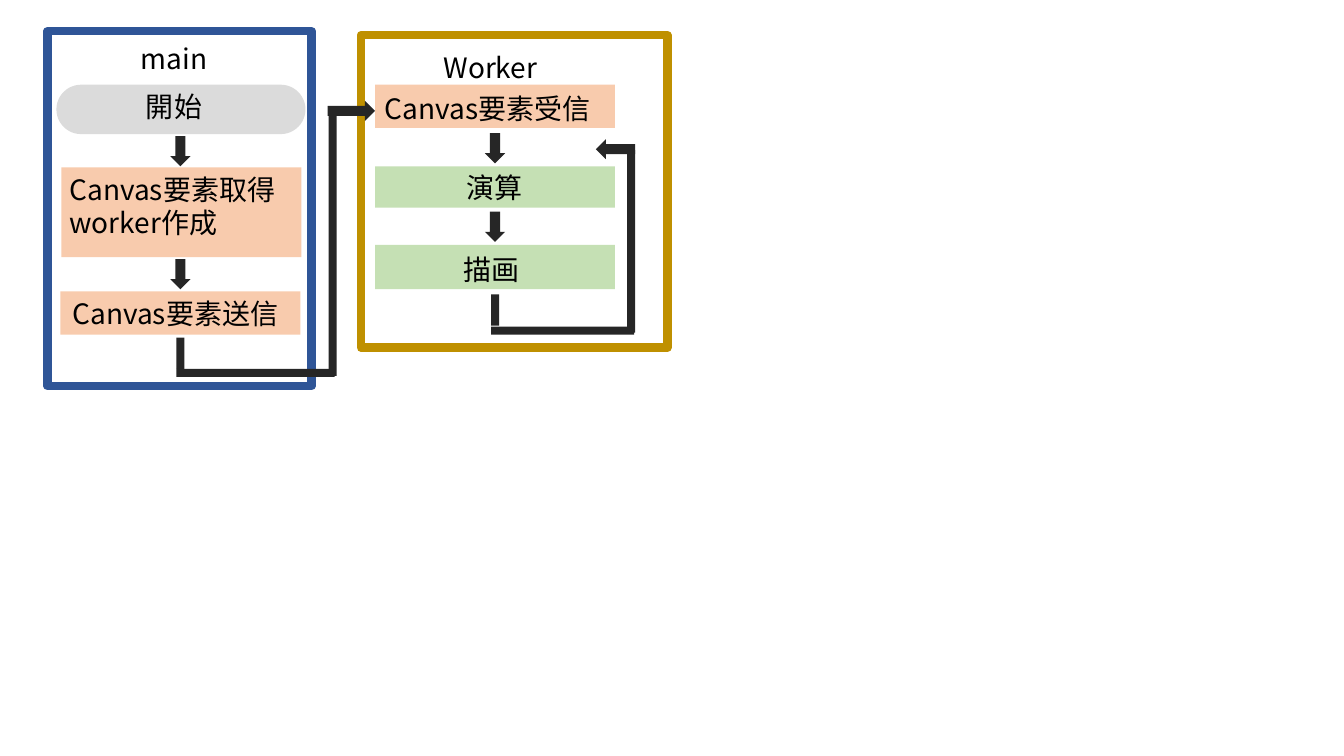
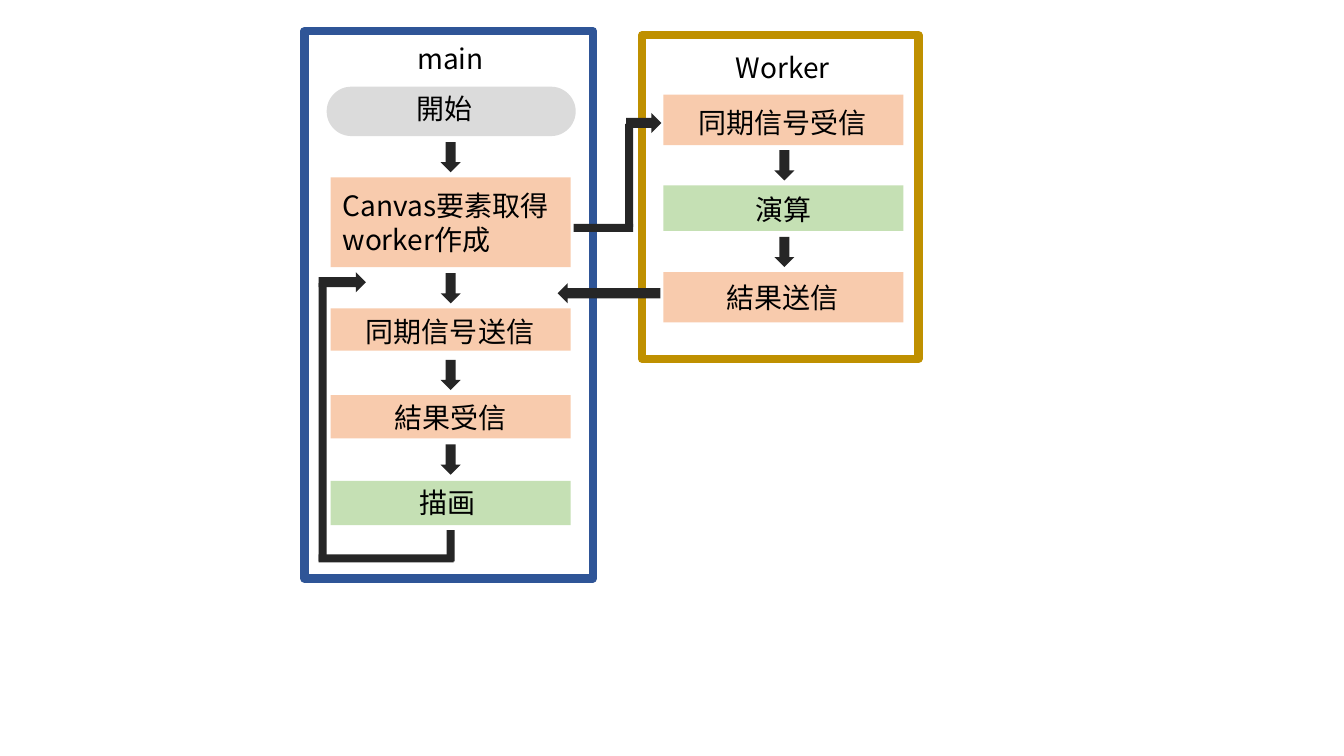
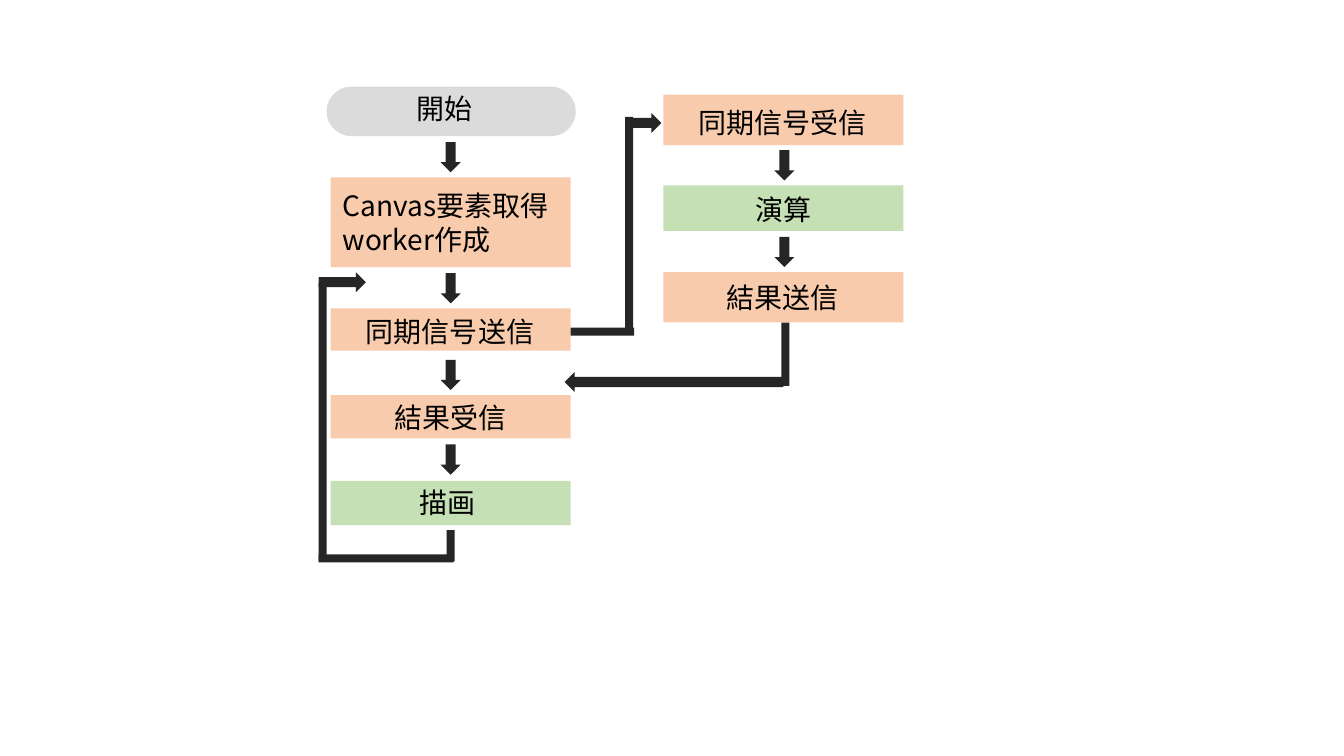
from lxml import etree
from pptx import Presentation
from pptx.dml.color import RGBColor
from pptx.enum import shapes, text
from pptx.oxml import ns
from pptx.util import Inches, Pt

FONT = "Noto Sans CJK JP"
BLACK = RGBColor(0x00, 0x00, 0x00)
INK = RGBColor(0x26, 0x26, 0x26)
BLUE = RGBColor(0x2F, 0x55, 0x97)
GOLD = RGBColor(0xBF, 0x90, 0x00)
GRAY = RGBColor(0xDB, 0xDB, 0xDB)
ORANGE = RGBColor(0xF8, 0xCB, 0xAD)
GREEN = RGBColor(0xC5, 0xE0, 0xB4)

RECT = shapes.MSO_SHAPE.RECTANGLE
PILL = shapes.MSO_SHAPE.ROUNDED_RECTANGLE
DOWN = shapes.MSO_SHAPE.DOWN_ARROW
RIGHT = shapes.MSO_SHAPE.RIGHT_ARROW
LEFT = shapes.MSO_SHAPE.LEFT_ARROW

BAR = 0.08
HEAD = 0.2
STEP = 0.3
BOX_WIDTH = 2.38


def draw(slide, kind, at, fill=None, border=None):
    part = slide.shapes.add_shape(kind, *map(Inches, at))
    part.shadow.inherit = False
    if fill is None:
        part.fill.background()
    else:
        part.fill.solid()
        part.fill.fore_color.rgb = fill
    if border is None:
        part.line.fill.background()
    else:
        part.line.color.rgb = border
        part.line.width = Pt(6)
    if kind == PILL:
        part.adjustments[0] = 0.5


def write(slide, wording, left, top, width):
    height = 0.77 if "\n" in wording else 0.44
    label = slide.shapes.add_textbox(*map(Inches, (left, top, width, height)))
    frame = label.text_frame
    frame.text = wording
    frame.word_wrap = False
    frame.auto_size = text.MSO_AUTO_SIZE.SHAPE_TO_FIT_TEXT
    for paragraph in frame.paragraphs:
        for run in paragraph.runs:
            run.font.size = Pt(20)
            run.font.name = FONT
            run.font.color.rgb = BLACK
            east_asian = etree.SubElement(run.font._element, ns.qn("a:ea"))
            east_asian.set("typeface", FONT)


canvas_nodes = [
    (RECT, ORANGE, (0.61, 1.66, BOX_WIDTH, 0.89), "Canvas要素取得\nworker作成", (0.59, 1.66, 2.34)),
    (RECT, ORANGE, (0.6, 2.89, BOX_WIDTH, 0.43), "Canvas要素送信", (0.62, 2.89, 2.34)),
    (RECT, ORANGE, (3.72, 0.84, BOX_WIDTH, 0.43), "Canvas要素受信", (3.72, 0.86, 2.34)),
    (RECT, GREEN, (3.72, 1.65, BOX_WIDTH, 0.41), "演算", (4.53, 1.64, 0.76)),
    (RECT, GREEN, (3.72, 2.43, BOX_WIDTH, 0.44), "描画", (4.5, 2.46, 0.76)),
    (PILL, GRAY, (0.56, 0.84, 2.47, 0.49), "開始", (1.35, 0.84, 0.76)),
]
sync_nodes = [
    (RECT, ORANGE, (3.28, 1.76, BOX_WIDTH, 0.89), "Canvas要素取得\nworker作成", (3.3, 1.82, 2.34)),
    (RECT, ORANGE, (3.28, 3.06, BOX_WIDTH, 0.42), "同期信号送信", (3.53, 3.07, 1.88)),
    (RECT, ORANGE, (6.58, 0.94, BOX_WIDTH, 0.5), "同期信号受信", (6.83, 1, 1.88)),
    (RECT, GREEN, (6.58, 1.84, BOX_WIDTH, 0.45), "演算", (7.39, 1.86, 0.76)),
    (RECT, GREEN, (3.28, 4.77, BOX_WIDTH, 0.44), "描画", (4.06, 4.77, 0.76)),
    (RECT, ORANGE, (6.58, 2.7, BOX_WIDTH, 0.5), "結果送信", (7.11, 2.73, 1.32)),
    (RECT, ORANGE, (3.28, 3.92, BOX_WIDTH, 0.43), "結果受信", (3.81, 3.92, 1.32)),
    (PILL, GRAY, (3.24, 0.86, 2.47, 0.49), "開始", (4.03, 0.86, 0.76)),
]

canvas_steps = [(1.69, 1.35), (1.69, 2.57), (4.81, 1.32), (4.81, 2.1)]
sync_steps = [(4.37, 1.41), (4.37, 2.71), (4.37, 3.57), (4.37, 4.41), (7.68, 1.49), (7.68, 2.35)]

canvas_routes = [
    (RECT, (1.75, 3.35, BAR, 0.31)),
    (RECT, (1.75, 3.66, 1.57, BAR)),
    (RECT, (3.26, 1.09, BAR, 2.64)),
    (RIGHT, (3.25, 1, 0.47, HEAD)),
    (RECT, (4.87, 2.92, BAR, 0.31)),
    (RECT, (4.87, 3.24, 1.42, BAR)),
    (RECT, (6.22, 1.49, BAR, 1.81)),
    (LEFT, (5.91, 1.38, 0.39, HEAD)),
]
loop_route = [
    (RECT, (4.43, 5.26, BAR, 0.31)),
    (RECT, (3.16, 5.5, 1.34, BAR)),
    (RECT, (3.16, 2.81, BAR, 2.76)),
    (RIGHT, (3.16, 2.7, 0.47, HEAD)),
]
into_worker = (RIGHT, (6.21, 1.12, 0.35, HEAD))
early_signal_routes = loop_route + [
    (RECT, (5.69, 2.22, 0.59, BAR)),
    (LEFT, (5.53, 2.81, 1.02, HEAD)),
    (RECT, (6.2, 1.23, BAR, 1.02)),
    into_worker,
]
late_signal_routes = loop_route + [
    (RECT, (5.66, 3.25, 0.63, BAR)),
    (LEFT, (5.6, 3.69, 2.17, HEAD)),
    (RECT, (6.2, 1.16, BAR, 2.13)),
    into_worker,
    (RECT, (7.75, 3.2, BAR, 0.63)),
]

canvas_threads = [
    ("Worker", (4.3, 0.45, 1.23), GOLD, (3.58, 0.35, 3.04, 3.1)),
    ("main", (1.3, 0.36, 0.86), BLUE, (0.47, 0.31, 2.62, 3.52)),
]
sync_threads = [
    ("Worker", (7.2, 0.45, 1.23), GOLD, (6.37, 0.35, 2.74, 3.21)),
    ("main", (4.04, 0.36, 0.86), BLUE, (3.02, 0.31, 2.86, 5.43)),
]

diagrams = [
    (canvas_threads, canvas_nodes, canvas_steps, canvas_routes),
    (sync_threads, sync_nodes, sync_steps, early_signal_routes),
    ([], sync_nodes, sync_steps, late_signal_routes),
]

deck = Presentation()
deck.slide_width = Inches(13.33)
deck.slide_height = Inches(7.5)

for threads, nodes, steps, routes in diagrams:
    slide = deck.slides.add_slide(deck.slide_layouts[6])
    for name, name_at, color, frame_at in threads:
        write(slide, name, *name_at)
        draw(slide, RECT, frame_at, border=color)
    for kind, fill, box_at, wording, label_at in nodes:
        draw(slide, kind, box_at, fill)
        write(slide, wording, *label_at)
    for left, top in steps:
        draw(slide, DOWN, (left, top, HEAD, STEP), INK)
    for kind, route_at in routes:
        draw(slide, kind, route_at, INK)

deck.save("out.pptx")
